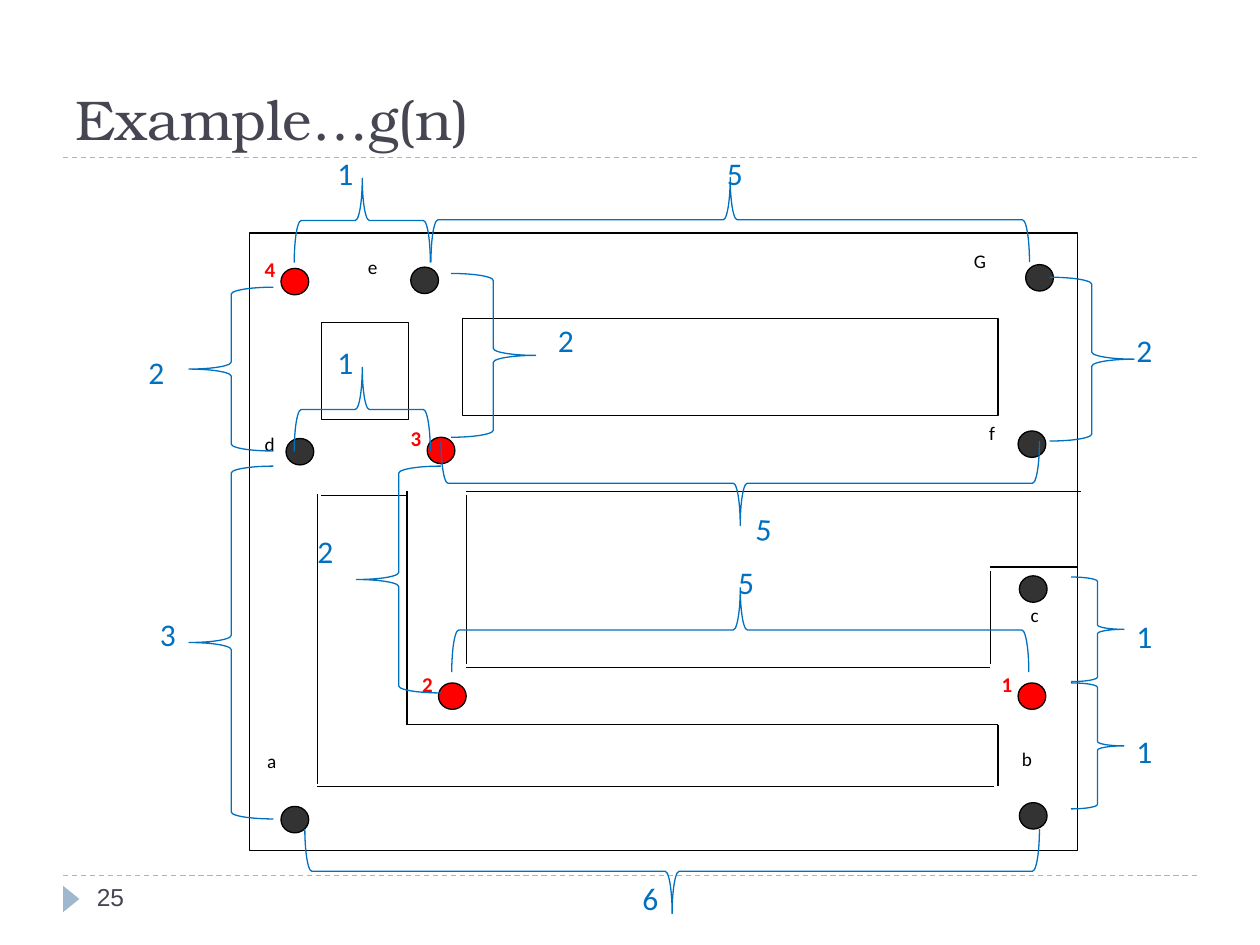
from dataclasses import dataclass

from lxml import etree
from pptx import Presentation
from pptx.dml.color import RGBColor
from pptx.enum.dml import MSO_LINE
from pptx.enum.shapes import MSO_CONNECTOR, MSO_SHAPE as SHAPE
from pptx.enum.text import MSO_ANCHOR as ANCHOR, PP_ALIGN
from pptx.oxml.ns import qn
from pptx.util import Inches, Pt


@dataclass(frozen=True)
class Theme:
    title: tuple = ("TeX Gyre Bonum", 32, "464653", False)
    page: tuple = ("Arial", 14, "464653", False)
    node: tuple = ("Calibri", 11, "000000", False)
    junction: tuple = ("Calibri", 12, "FF0000", True)
    cost: tuple = ("Calibri", 18, "0070C0", False)
    white: str = "FFFFFF"
    black: str = "000000"
    dark: str = "333333"
    red: str = "FF0000"
    blue: str = "0070C0"
    accent: str = "9FB8CD"


T = Theme()
prs = Presentation()
prs.slide_width, prs.slide_height = Inches(10), Inches(7.5)
s = prs.slides.add_slide(prs.slide_layouts[6])


def add_shape(kind, box, fill=None, line=None, text="", style=None,
              margins=(0, 0), anchor=ANCHOR.TOP, rot=0):
    sp = s.shapes.add_shape(kind, *map(Inches, box))
    sp.shadow.inherit = False
    sp.rotation = rot
    if fill:
        sp.fill.solid()
        sp.fill.fore_color.rgb = RGBColor.from_string(fill)
    else:
        sp.fill.background()
    if line:
        sp.line.color.rgb = RGBColor.from_string(line)
        sp.line.width = Pt(0.75)
    else:
        sp.line.fill.background()
    if text:
        tf = sp.text_frame
        tf.word_wrap = True
        tf.vertical_anchor = anchor
        tf.margin_left = tf.margin_right = Inches(margins[0])
        tf.margin_top = tf.margin_bottom = Inches(margins[1])
        p = tf.paragraphs[0]
        p.alignment = PP_ALIGN.LEFT
        r = p.add_run()
        r.text = text
        r.font.name, size, color, r.font.bold = style
        r.font.size = Pt(size)
        r.font.color.rgb = RGBColor.from_string(color)


def add_line(x1, y1, x2, y2, color, dash=None):
    line = s.shapes.add_connector(MSO_CONNECTOR.STRAIGHT,
                                  *map(Inches, (x1, y1, x2, y2)))
    line.line.color.rgb = RGBColor.from_string(color)
    line.line.width = Pt(0.75)
    if dash:
        line.line.dash_style = dash
    etree.SubElement(line._element.spPr, qn("a:effectLst"))


# Slide frame: rules, page marker, title, page number
for y in (6.95, 1.25):
    add_line(0.5, y, 9.5, y, T.accent, MSO_LINE.DASH)
add_shape(SHAPE.ISOSCELES_TRIANGLE, (0.46, 7.07, 0.21, 0.13), T.accent, rot=90)
add_shape(SHAPE.RECTANGLE, (0.5, 0.17, 9, 1.08), text="Example…g(n)",
          style=T.title, margins=(0.1, 0.05), anchor=ANCHOR.BOTTOM)
add_shape(SHAPE.RECTANGLE, (0.67, 6.95, 2.17, 0.4), text="25",
          style=T.page, margins=(0.1, 0.05))

# Maze: outer wall and two closed blocks
for box in ((1.98, 1.85, 6.57, 4.9), (3.67, 2.53, 4.25, 0.77),
            (2.55, 2.56, 0.69, 0.77)):
    add_shape(SHAPE.RECTANGLE, box, T.white, T.black)

# Maze: inner walls
for wall in (
    (8.58, 3.9, 3.7, 3.9), (3.7, 3.93, 3.7, 5.27), (3.7, 5.3, 7.86, 5.3),
    (7.86, 5.27, 7.86, 4.53), (7.86, 4.5, 8.55, 4.5),
    (3.23, 3.93, 2.55, 3.93), (3.23, 3.9, 3.23, 5.75),
    (3.23, 5.75, 7.92, 5.75), (7.92, 5.75, 7.92, 6.24),
    (2.52, 3.92, 2.52, 6.22), (7.89, 6.24, 2.52, 6.24),
):
    add_line(*wall, T.black)

# Nodes: name, label corner, dot corner
LABEL, DOT = (0.26, 0.36), (0.22, 0.21)
for name, label, dot in (
    ("a", (2.12, 5.95), (2.23, 6.4)), ("b", (8.11, 5.93), (8.09, 6.37)),
    ("c", (8.18, 4.79), (8.09, 4.57)), ("d", (2.1, 3.43), (2.27, 3.48)),
    ("G", (7.73, 1.98), (8.14, 2.1)), ("e", (2.92, 2.03), (3.26, 2.12)),
    ("f", (7.85, 3.34), (8.08, 3.42)),
):
    add_shape(SHAPE.RECTANGLE, label + LABEL, T.white, text=name, style=T.node)
    add_shape(SHAPE.OVAL, dot + DOT, T.dark, T.black)

# Numbered junctions
for name, label, dot in (
    ("1", (7.95, 5.33), (8.08, 5.42)), ("2", (3.35, 5.33), (3.48, 5.42)),
    ("3", (3.26, 3.38), (3.39, 3.47)), ("4", (2.1, 2.04), (2.23, 2.13)),
):
    add_shape(SHAPE.RECTANGLE, label + LABEL, text=name, style=T.junction)
    add_shape(SHAPE.OVAL, dot + DOT, T.red, T.black)

# Braces spanning each path: unrotated frame and rotation
for *box, rot in (
    (1.5, 2.28, 0.67, 1.3, 0), (1.5, 3.7, 0.67, 2.8, 0),
    (2.83, 3.7, 0.67, 1.8, 0),
    (2.54, 2.71, 0.67, 1.08, 90), (2.54, 1.21, 0.67, 1.08, 90),
    (5.46, -0.63, 0.67, 4.75, 90), (5.54, 2.71, 0.67, 4.58, 90),
    (8.33, 2.2, 0.67, 1.3, 180), (3.58, 2.17, 0.67, 1.3, 180),
    (5, 4, 0.67, 5.83, 270), (5.54, 1.46, 0.67, 4.75, 270),
):
    add_shape(SHAPE.LEFT_BRACE, box, line=T.blue, rot=rot)
for y, height in ((4.58, 0.83), (5.42, 1)):
    add_shape(SHAPE.RIGHT_BRACE, (8.5, y, 0.42, height), line=T.blue)

# Path costs
for cost, x, y, rot in (
    ("2", 1.08, 2.75, 0), ("2", 8.92, 2.58, 0), ("1", 8.92, 4.85, 0),
    ("1", 8.92, 5.76, 0), ("1", 2.58, 2.67, 0), ("3", 1.17, 4.83, 0),
    ("5", 5.67, 1.17, 0), ("6", 5, 6.93, 0), ("5", 5.76, 4.42, 0),
    ("2", 4.33, 2.5, 0), ("1", 2.58, 1.17, 0), ("2", 2.42, 4.17, 0),
    ("5", 5.9, 4, 3.9),
):
    add_shape(SHAPE.RECTANGLE, (x, y, 0.42, 0.4), text=cost, style=T.cost,
              margins=(0.1, 0.05), rot=rot)

prs.save("out.pptx")
